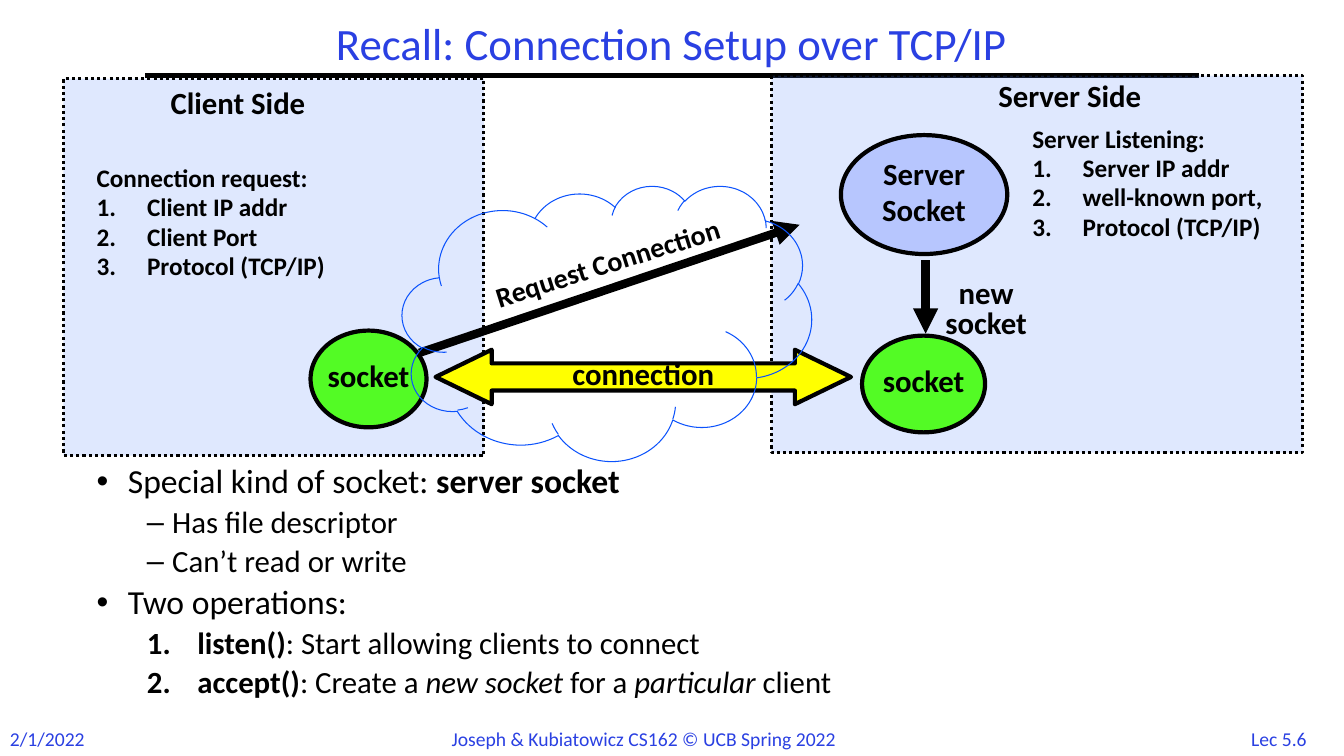
from dataclasses import dataclass

import pptx
import pptx.dml.color
import pptx.enum.dml
import pptx.enum.shapes
import pptx.enum.text
import pptx.util
from lxml import etree
from pptx.oxml.ns import qn

Inches, Pt = pptx.util.Inches, pptx.util.Pt
SHAPES = pptx.enum.shapes.MSO_SHAPE
ALIGN = pptx.enum.text.PP_ALIGN


@dataclass(frozen=True)
class Theme:
    font: str = "Calibri"
    ink: str = "000000"
    heading: str = "2A40E2"
    panel: str = "618FFD"
    socket: str = "53FB25"
    listener: str = "B7C6FE"
    connection: str = "FFFF00"
    cloud: str = "0B52FC"
    title_size: int = 32
    body_size: int = 24
    label_size: int = 22
    request_size: int = 20
    list_size: int = 18
    footer_size: int = 14


THEME = Theme()


@dataclass(frozen=True)
class Para:
    """One paragraph; runs are (text, style) pairs with style 'b', 'i' or ''."""
    runs: tuple
    size: int
    color: str = THEME.ink
    align: object = ALIGN.LEFT
    spacing: float = 1.0
    before: float = 0
    left: float = 0
    hang: float = 0
    bullet: str = ""
    level: int = 0


def rgb(code):
    return pptx.dml.color.RGBColor.from_string(code)


# Text
def set_bullet(props, bullet):
    if not bullet:
        etree.SubElement(props, qn("a:buNone"))
    elif bullet == "1.":
        etree.SubElement(props, qn("a:buFont"), typeface="+mj-lt")
        etree.SubElement(props, qn("a:buAutoNum"), type="arabicPeriod")
    else:
        etree.SubElement(props, qn("a:buFont"), typeface="Arial")
        etree.SubElement(props, qn("a:buChar"), char=bullet)


def write(frame, paras, wrap=True):
    frame.word_wrap = wrap
    for index, para in enumerate(paras):
        line = frame.add_paragraph() if index else frame.paragraphs[0]
        line.alignment, line.level = para.align, para.level
        line.line_spacing = para.spacing
        line.space_before = Pt(para.before if index else 0)
        props = line._p.get_or_add_pPr()
        props.set("marL", str(Inches(para.left)))
        props.set("indent", str(Inches(-para.hang)))
        set_bullet(props, para.bullet)
        for text, style in para.runs:
            run = line.add_run()
            run.text = text
            run.font.name, run.font.size = THEME.font, Pt(para.size)
            run.font.bold, run.font.italic = style == "b", style == "i"
            run.font.color.rgb = rgb(para.color)


def add_text(slide, box, paras, wrap=True, middle=False, rotation=0):
    text_box = slide.shapes.add_textbox(*map(Inches, box))
    text_box.rotation = rotation
    if middle:
        text_box.text_frame.vertical_anchor = pptx.enum.text.MSO_ANCHOR.MIDDLE
    write(text_box.text_frame, paras, wrap)


def labels(*lines, size=THEME.label_size, before=0.2):
    return [Para(((line, "b"),), size, align=ALIGN.CENTER, spacing=0.8,
                 before=before * size, left=0.25, hang=0.25) for line in lines]


def add_address_list(slide, left, top, heading, items):
    size = THEME.list_size
    rows = [Para(((heading, "b"),), size, spacing=0.8, left=0.25, hang=0.25)]
    rows += [Para(((item, "b"),), size, spacing=0.8, before=0.2 * size,
                  left=0.5, hang=0.5, bullet="1.") for item in items]
    add_text(slide, (left, top, 2.78, 1.25), rows)


# Shapes and lines
def add_shape(slide, kind, box, fill=None, line=THEME.ink, width=3.0, lines=()):
    shape = slide.shapes.add_shape(kind, *map(Inches, box))
    shape.shadow.inherit = False
    if fill:
        shape.fill.solid()
        shape.fill.fore_color.rgb = rgb(fill)
    else:
        shape.fill.background()
    shape.line.color.rgb = rgb(line)
    shape.line.width = Pt(width)
    if lines:
        shape.text_frame.vertical_anchor = pptx.enum.text.MSO_ANCHOR.MIDDLE
        write(shape.text_frame, labels(*lines), wrap=False)
    return shape


def add_side_panel(slide, left, top, width):
    panel = add_shape(slide, SHAPES.RECTANGLE, (left, top, width, 3.74),
                      THEME.panel, width=2.25)
    panel.line.dash_style = pptx.enum.dml.MSO_LINE.ROUND_DOT
    color = panel.fill._xPr.find(qn("a:solidFill"))[0]
    etree.SubElement(color, qn("a:alpha"), val="20000")


def add_line(slide, start, end, width, arrow=False):
    line = slide.shapes.add_connector(pptx.enum.shapes.MSO_CONNECTOR.STRAIGHT,
                                      *map(Inches, start + end))
    line.line.color.rgb = rgb(THEME.ink)
    line.line.width = Pt(width)
    if arrow:
        etree.SubElement(line.line._get_or_add_ln(), qn("a:tailEnd"), type="triangle")
    etree.SubElement(line._element.spPr, qn("a:effectLst"))


# Body
def body_paras():
    def point(*runs):
        size = THEME.body_size
        return Para(runs, size, spacing=0.85, before=size / 4,
                    left=0.31, hang=0.31, bullet="•")

    def detail(*runs, bullet="–", left=0.75, hang=0.25):
        size = THEME.label_size
        return Para(runs, size, spacing=0.85, before=size / 4,
                    left=left, hang=hang, bullet=bullet, level=1)

    def step(*runs):
        return detail(*runs, bullet="1.", left=1, hang=0.5)

    return [
        point(("Special kind of socket: ", ""), ("server socket", "b")),
        detail(("Has file descriptor", "")),
        detail(("Can’t read or write", "")),
        point(("Two operations:", "")),
        step(("listen()", "b"), (": Start allowing clients to connect", "")),
        step(("accept()", "b"), (": Create a ", ""), ("new socket", "i"),
             (" for a ", ""), ("particular ", "i"), ("client", "")),
    ]


def main():
    deck = pptx.Presentation()
    deck.slide_width, deck.slide_height = Inches(13.33), Inches(7.5)
    slide = deck.slides.add_slide(deck.slide_layouts[6])

    # Footer and title rule
    for left, width, text, align in (
            (12.2, 0.97, "Lec 5.6", ALIGN.CENTER),
            (0, 0.96, "2/1/2022", ALIGN.LEFT),
            (4.38, 4.55, "Joseph & Kubiatowicz CS162 © UCB Spring 2022", ALIGN.LEFT)):
        add_text(slide, (left, 7.16, width, 0.34),
                 [Para(((text, ""),), THEME.footer_size, THEME.heading, align)], wrap=False)
    add_line(slide, (1.44, 0.75), (11.89, 0.75), 3)

    # Client and server panels
    add_side_panel(slide, 0.63, 0.78, 4.17)
    add_side_panel(slide, 7.65, 0.75, 5.27)

    # Title and body
    add_text(slide, (1.44, 0.17, 10.44, 0.58),
             [Para((("Recall: Connection Setup over TCP/IP", ""),), THEME.title_size,
                   THEME.heading, ALIGN.CENTER, 0.9)], middle=True)
    add_text(slide, (0.86, 4.58, 11.5, 2.97), body_paras())

    # Sockets and their addresses
    add_shape(slide, SHAPES.OVAL, (3.08, 3.28, 1.15, 0.96), THEME.socket, lines=["socket"])
    add_address_list(slide, 10.14, 1.23, "Server Listening:",
                     ["Server IP addr", "well-known port,", "Protocol (TCP/IP)"])
    add_address_list(slide, 0.86, 1.62, "Connection request:",
                     ["Client IP addr", "Client Port", "Protocol (TCP/IP)"])
    add_shape(slide, SHAPES.OVAL, (8.34, 1.34, 1.65, 1.18), THEME.listener,
              lines=["Server", "Socket"])
    add_line(slide, (9.18, 2.58), (9.18, 3.31), 6, arrow=True)
    add_text(slide, (9.19, 2.74, 1.18, 0.69), labels("new", "socket", before=0))
    add_shape(slide, SHAPES.OVAL, (8.55, 3.33, 1.22, 0.96), THEME.socket, lines=["socket"])

    # Connection and request
    connection = add_shape(slide, SHAPES.LEFT_RIGHT_ARROW, (4.32, 3.47, 4.12, 0.54),
                           THEME.connection, lines=["connection"])
    connection.adjustments[0], connection.adjustments[1] = 0.5, 1.03
    add_text(slide, (4.57, 2.45, 2.93, 0.37),
             labels("Request Connection", size=THEME.request_size), rotation=342.5)
    add_line(slide, (4.16, 3.5), (7.93, 2.23), 6, arrow=True)

    # Side names and network cloud
    add_text(slide, (9.66, 0.78, 1.9, 0.39), labels("Server Side"))
    add_text(slide, (1.46, 0.85, 1.8, 0.39), labels("Client Side"))
    add_shape(slide, SHAPES.CLOUD, (3.99, 1.84, 4.06, 2.73), line=THEME.cloud, width=0.75)

    deck.save("out.pptx")


if __name__ == "__main__":
    main()
